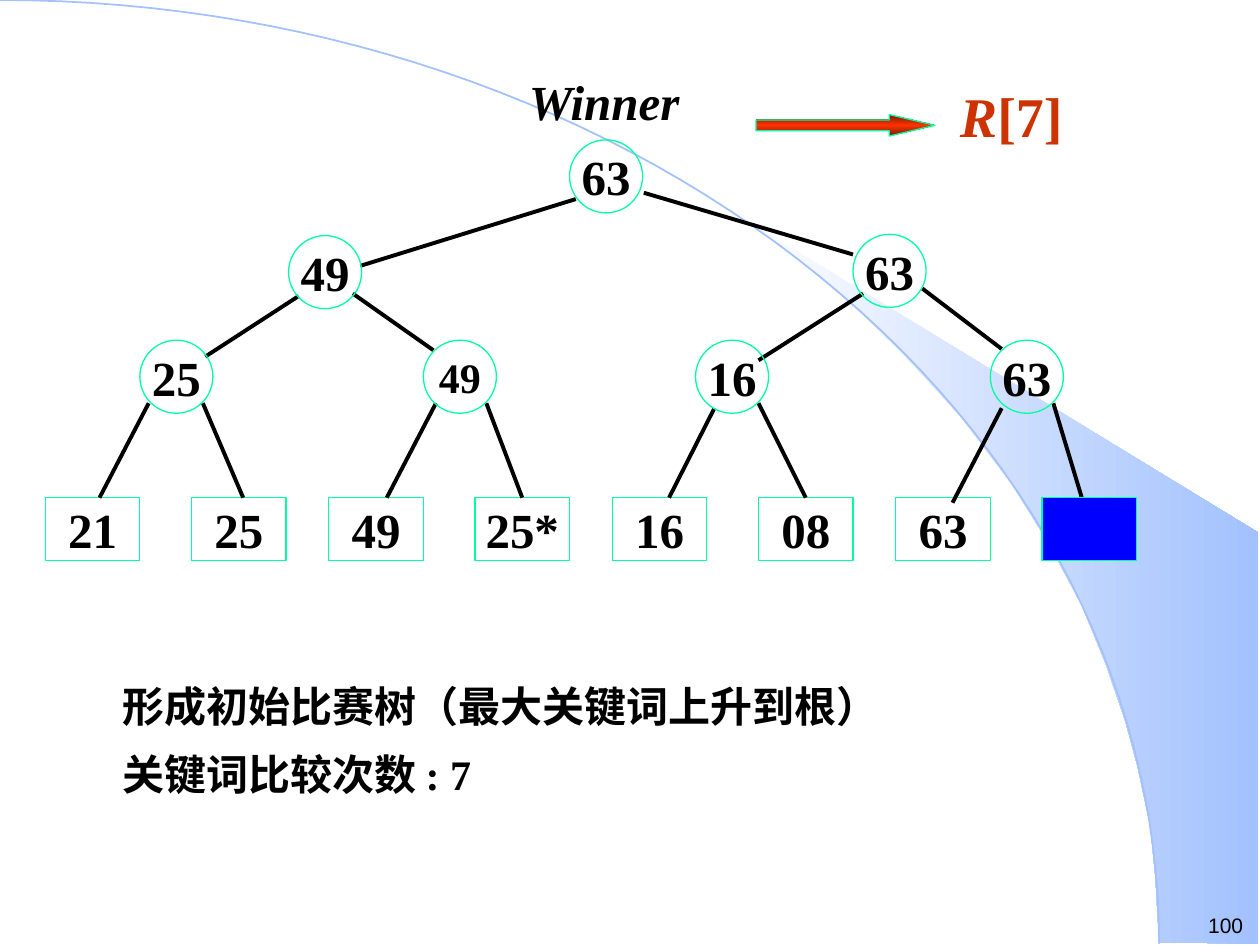
import copy
import math

from lxml import etree
from pptx import Presentation
from pptx.dml.color import RGBColor
from pptx.enum.shapes import MSO_CONNECTOR, MSO_SHAPE
from pptx.enum.text import MSO_ANCHOR, MSO_AUTO_SIZE, PP_ALIGN
from pptx.oxml.ns import qn
from pptx.util import Inches, Pt

CENTER, JUSTIFY, LEFT = PP_ALIGN.CENTER, PP_ALIGN.JUSTIFY, PP_ALIGN.LEFT
OVAL, RECT, ARROW = MSO_SHAPE.OVAL, MSO_SHAPE.RECTANGLE, MSO_SHAPE.RIGHT_ARROW
STRAIGHT = MSO_CONNECTOR.STRAIGHT
MIDDLE = MSO_ANCHOR.MIDDLE
GROW = MSO_AUTO_SIZE.SHAPE_TO_FIT_TEXT
TOP = 0

COLORS = {
    "white": "FFFFFF", "sky": "A2C1FE", "black": "000000", "mint": "00FF9F",
    "blue": "0000FF", "rust": "CC3300", "red": "FF3300", "maroon": "761800",
}


def rgb(name):
    return RGBColor.from_string(COLORS[name])


class TreeSlide:
    font = "Times New Roman"

    def __init__(self, slide):
        self.shapes = slide.shapes

    def _paint(self, s, fill=None, line=None, width=0.75, angle=0):
        """fill is None, one colour name, or a list of gradient colour names."""
        s.shadow.inherit = False
        if fill is None:
            s.fill.background()
        elif isinstance(fill, str):
            s.fill.solid()
            s.fill.fore_color.rgb = rgb(fill)
        else:
            s.fill.gradient()
            s.fill.gradient_angle = angle
            first = s.fill._fill._gradFill.find(qn("a:gsLst"))[0]
            for _ in fill[2:]:
                first.addnext(copy.deepcopy(first))
            for i, (stop, name) in enumerate(zip(s.fill.gradient_stops, fill)):
                stop.color.rgb = rgb(name)
                stop.position = i / (len(fill) - 1)
        if line:
            s.line.color.rgb = rgb(line)
            s.line.width = Pt(width)
        else:
            s.line.fill.background()

    def _write(self, p, runs, size, color="black", bold=True, font=None):
        for text, italic in runs:
            r = p.add_run()
            r.text = text
            f = r.font
            f.name, f.size, f.bold, f.italic = font or self.font, Pt(size), bold, italic
            f.color.rgb = rgb(color)

    def shape(self, kind, x, y, w, h, **paint):
        s = self.shapes.add_shape(kind, Inches(x), Inches(y), Inches(w), Inches(h))
        self._paint(s, **paint)
        return s

    def node(self, kind, x, y, w, h, label, size=28):
        s = self.shape(kind, x, y, w, h, line="mint")
        tf = s.text_frame
        tf.word_wrap = False
        tf.vertical_anchor = MIDDLE
        p = tf.paragraphs[0]
        p.alignment = CENTER
        self._write(p, [(label, False)], size)
        return s

    def outline(self, points, closed, **paint):
        pts = [(Inches(x), Inches(y)) for x, y in points]
        fb = self.shapes.build_freeform(*pts[0], scale=1.0)
        fb.add_line_segments(pts[1:], close=closed)
        self._paint(fb.convert_to_shape(), **paint)

    def edge(self, x1, y1, x2, y2, leaf=None):
        c = self.shapes.add_connector(
            STRAIGHT, Inches(x1), Inches(y1), Inches(x2), Inches(y2))
        c.line.color.rgb = rgb("black")
        c.line.width = Pt(2.25)
        etree.SubElement(c._element.spPr, qn("a:effectLst"))
        if leaf is not None:
            c.end_connect(leaf, TOP)

    def text(self, x, y, w, h, lines, size, align=LEFT, spacing=None, hang=0,
             wrap=False, **style):
        tf = self.shapes.add_textbox(
            Inches(x), Inches(y), Inches(w), Inches(h)).text_frame
        tf.word_wrap = wrap
        if not wrap:
            tf.auto_size = GROW
        for i, runs in enumerate(lines):
            p = tf.add_paragraph() if i else tf.paragraphs[0]
            p.alignment = align
            if spacing:
                p.line_spacing = spacing
            if hang:
                pPr = p._p.get_or_add_pPr()
                pPr.set("marL", str(Inches(hang)))
                pPr.set("indent", str(-Inches(hang)))
            self._write(p, runs, size, **style)


prs = Presentation()
prs.slide_width, prs.slide_height = Inches(10), Inches(7.5)
tree = TreeSlide(prs.slides.add_slide(prs.slide_layouts[6]))

# Background: shaded wedge and quarter-ellipse arc
WEDGE = [
    (9.2, 7.48), (9.99, 7.49), (9.99, 4.23), (5.89, 1.73), (6.24, 1.99),
    (6.53, 2.22), (6.85, 2.5), (7.16, 2.8), (7.62, 3.3), (8.03, 3.84),
    (8.32, 4.31), (8.58, 4.79), (8.78, 5.28), (8.93, 5.72), (9.03, 6.09),
    (9.13, 6.56), (9.17, 6.96),
]
tree.outline(WEDGE, True, fill=["white", "sky"])
ARC_W, ARC_H, STEPS = 9.2, 7.49, 60
angles = [math.pi / 2 * i / STEPS for i in range(STEPS + 1)]
tree.outline([(ARC_W * math.sin(a), ARC_H * (1 - math.cos(a))) for a in angles],
             False, line="sky", width=1)

# Slide number and caption
tree.text(9.49, 7.19, 0.51, 0.3, [[("100", False)]], 12, bold=False, font="Arial")
tree.text(0.87, 5.21, 8.88, 1.54,
          [[("形成初始比赛树（最大关键词上升到根）", False)],
           [("关键词比较次数 : 7", False)]],
          24, align=JUSTIFY, spacing=1.35, hang=0.38, wrap=True)

# Leaves: pairs repeat every 2.25, the right one sits 1.16 further
LEAF_Y, LEAF_W, LEAF_H = 3.95, 0.75, 0.5
leaf_x = [0.36 + 2.25 * pair + 1.16 * side for pair in range(4) for side in range(2)]
leaves = [tree.node(RECT, x, LEAF_Y, LEAF_W, LEAF_H, label)
          for x, label in zip(leaf_x, ["21", "25", "49", "25*", "16", "08", "63"])]

# Edges between matches, then edges down to the leaves
for ends in [
    (5.11, 1.53, 6.77, 2.02), (4.57, 1.58, 2.86, 2.11),
    (6.85, 2.33, 6.02, 2.86), (2.8, 2.33, 3.44, 2.78),
    (7.32, 2.29, 7.95, 2.77), (2.37, 2.35, 1.63, 2.83),
    (1.18, 3.2, 0.79, 3.95), (1.61, 3.2, 1.93, 3.95),
    (3.46, 3.2, 3.07, 3.95), (5.67, 3.24, 5.31, 3.95),
    (7.95, 3.24, 7.56, 3.99), (8.36, 3.2, 8.61, 4.03),
]:
    tree.edge(*ends)
tree.edge(3.86, 3.2, 4.17, LEAF_Y, leaves[3])
tree.edge(6.02, 3.2, 6.38, LEAF_Y, leaves[5])

# Emptied leaf covers the end of its edge
tree.shape(RECT, leaf_x[-1], LEAF_Y, LEAF_W, LEAF_H, fill="blue", line="mint")

# Match winners
DIAMETER = 0.58
for x, y, label, size in [
    (4.52, 1.11, "63", 28),
    (2.29, 1.87, "49", 28), (6.77, 1.86, "63", 28),
    (1.11, 2.7, "25", 28), (3.36, 2.7, "49", 24),
    (5.52, 2.7, "16", 28), (7.86, 2.7, "63", 28),
]:
    tree.node(OVAL, x, y, DIAMETER, DIAMETER, label, size)

# Winner label, arrow and result
tree.text(4.1, 0.52, 1.5, 0.57, [[("Winner", True)]], 28)
arrow = tree.shape(ARROW, 6, 0.91, 1.42, 0.17, line="mint", angle=90,
                   fill=["maroon", "red", "maroon"])
arrow.adjustments[0], arrow.adjustments[1] = 0.5, 2.13
tree.text(7.52, 0.6, 1.06, 0.64, [[("R", True), ("[7]", False)]], 32, color="rust")

prs.save("out.pptx")
